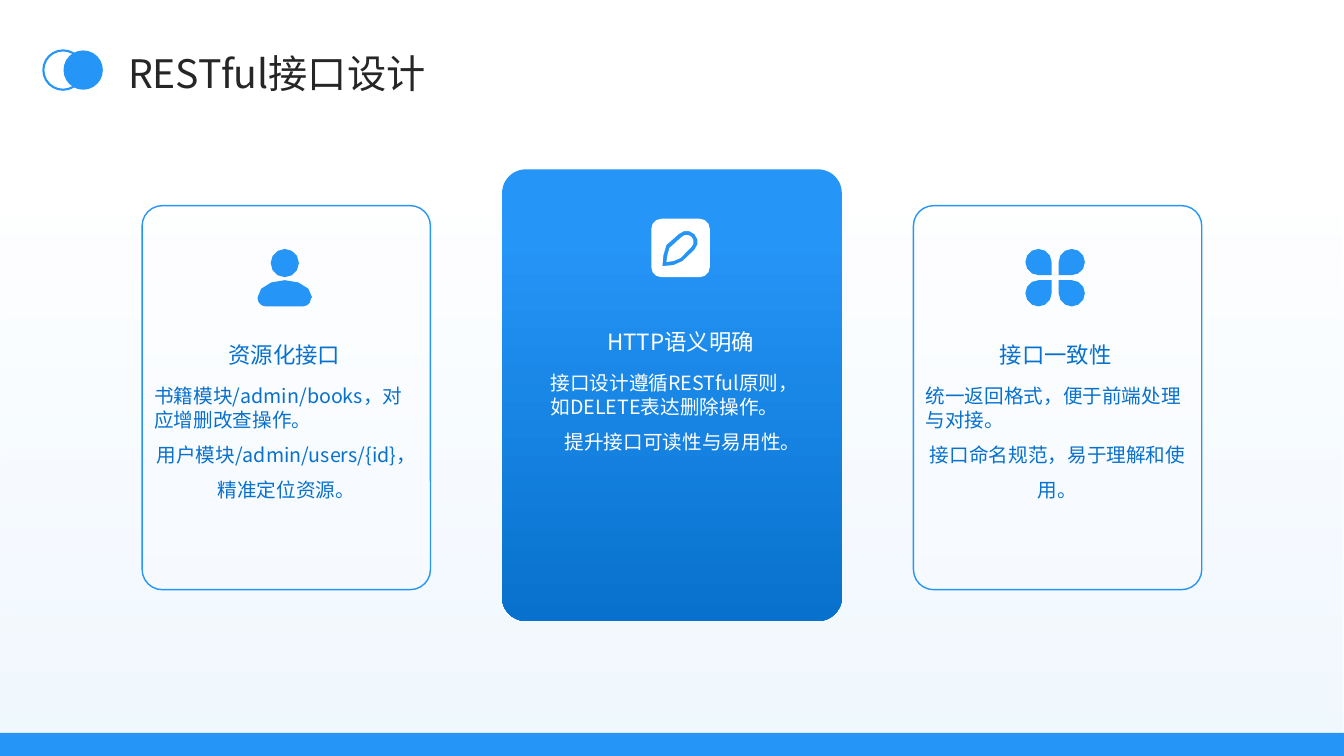
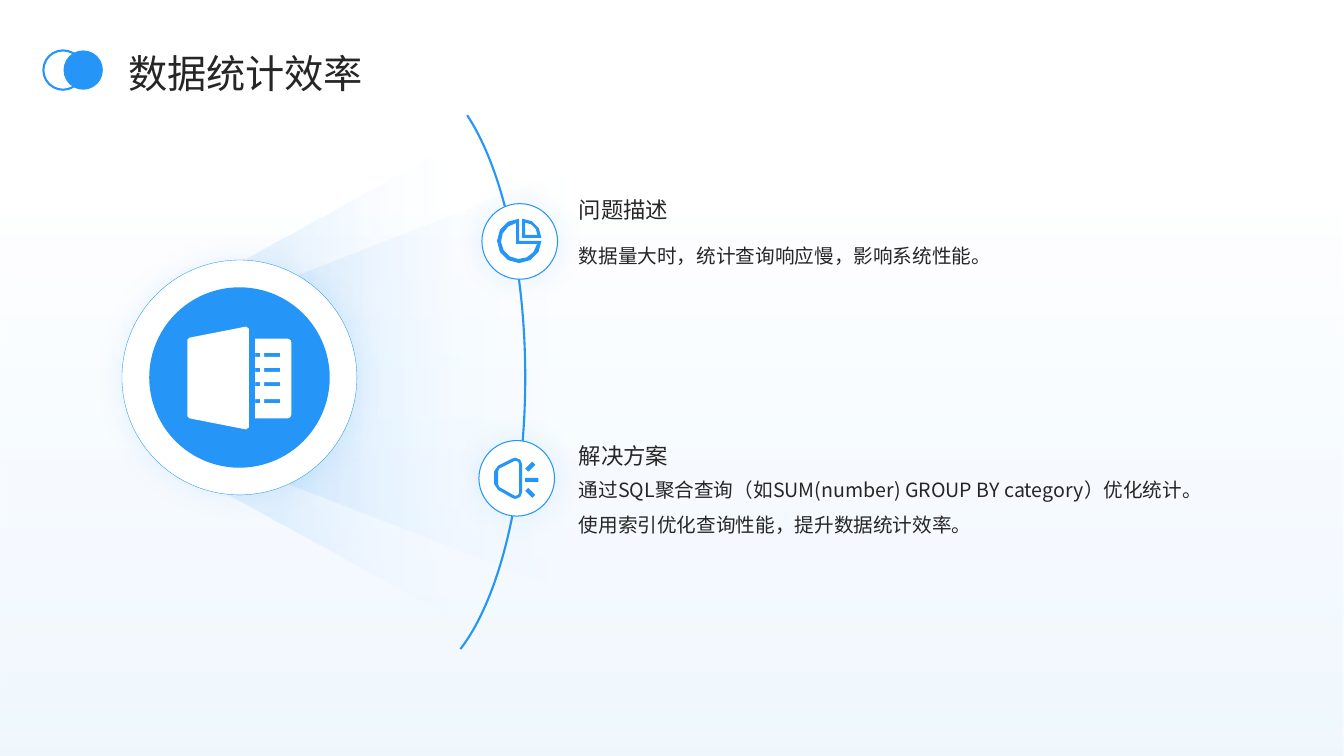
from math import ceil, cos, radians, sin

from lxml.etree import SubElement
from pptx import Presentation
from pptx.dml.color import RGBColor
from pptx.enum.shapes import MSO_SHAPE as Shape
from pptx.enum.text import MSO_ANCHOR as Anchor, MSO_AUTO_SIZE as AutoSize, PP_ALIGN as Align
from pptx.oxml.ns import qn
from pptx.util import Inches, Pt

BLUE = RGBColor(0x25, 0x95, 0xF7)
DEEP_BLUE = RGBColor(0x08, 0x71, 0xCD)
MIST = RGBColor(0xD3, 0xEA, 0xFD)
WHITE = RGBColor(0xFF, 0xFF, 0xFF)
INK = RGBColor(0x26, 0x26, 0x26)
FONT = "Noto Sans CJK SC"
WIDTH, HEIGHT = 13.33, 7.5
TITLE_ONLY, COMPARISON = 5, 4


def place(item, box):
    """Move an item to a box given in inches."""
    item.left, item.top, item.width, item.height = map(Inches, box)


def paint_gradient(shape, stops, angle, opacities=()):
    """Fill with two stops, each a position and a colour."""
    shape.fill.gradient()
    shape.fill.gradient_angle = angle
    for stop, (position, colour) in zip(shape.fill.gradient_stops, stops):
        stop.position = position
        stop.color.rgb = colour
    set_opacity(shape, *opacities)


def set_opacity(shape, *percents):
    """Give the colours of a shape, in order, their opacity."""
    colours = list(shape.element.spPr.iter(qn("a:srgbClr")))
    for colour, percent in zip(colours, percents):
        SubElement(colour, qn("a:alpha"), val=str(percent * 1000))


def add_glow(shape):
    """Put a soft blue shadow all around a shape."""
    effects = shape.element.spPr.find(qn("a:effectLst"))
    shadow = SubElement(effects, qn("a:outerShdw"), blurRad=str(Pt(20)), dist="0", dir="0",
                        algn="ctr", rotWithShape="0")
    colour = SubElement(shadow, qn("a:srgbClr"), val=str(BLUE))
    SubElement(colour, qn("a:alpha"), val="10000")


def add_figure(page, kind, box, fill=None, line=None, adjust=()):
    """Add a preset shape with a flat fill and a blue outline of a given width."""
    shape = page.shapes.add_shape(kind, *map(Inches, box))
    shape.shadow.inherit = False
    for index, value in enumerate(adjust):
        shape.adjustments[index] = value
    if fill is None:
        shape.fill.background()
    else:
        shape.fill.solid()
        shape.fill.fore_color.rgb = fill
    if line is None:
        shape.line.fill.background()
    else:
        shape.line.color.rgb = BLUE
        shape.line.width = Pt(line)
    return shape


def write_text(holder, box, lines, size, colour, anchor=Anchor.TOP):
    """Write lines, each a text, alignment and spacing, into a placeholder or text box."""
    place(holder, box)
    frame = holder.text_frame
    frame.word_wrap = True
    frame.auto_size = AutoSize.NONE
    frame.vertical_anchor = anchor
    frame.margin_left = frame.margin_right = frame.margin_top = frame.margin_bottom = 0
    for index, (text, align, spacing) in enumerate(lines):
        para = frame.add_paragraph() if index else frame.paragraphs[0]
        para.text = text
        properties = para._p.get_or_add_pPr()
        properties.set("marL", "0")
        properties.set("indent", "0")
        SubElement(properties, qn("a:buNone"))
        para.alignment = align
        para.line_spacing = spacing
        para.space_before = Pt(0)
        para.font.size = Pt(size)
        para.font.bold = False
        para.font.color.rgb = colour
        para.font.name = FONT
        SubElement(properties.find(qn("a:defRPr")), qn("a:ea"), typeface=FONT)


def add_text(page, *details):
    """Add a text box and write into it."""
    write_text(page.shapes.add_textbox(0, 0, 0, 0), *details)


def arc(x, y, radius, start, end, flatness=1):
    """Return points on an arc, clockwise in degrees; flatness scales its height."""
    steps = ceil((end - start) / 30)
    angles = [radians(start + (end - start) * step / steps) for step in range(steps + 1)]
    return [(x + radius * cos(angle), y + radius * flatness * sin(angle)) for angle in angles]


def rectangle(left, top, width, height):
    """Return the corners of a rectangle."""
    right, bottom = left + width, top + height
    return [(left, top), (right, top), (right, bottom), (left, bottom)]


def petal(x, y, radius, corner):
    """Return a disc with one square corner at the given angle."""
    reach = radius * 2 ** 0.5
    tip = (x + reach * cos(radians(corner)), y + reach * sin(radians(corner)))
    return arc(x, y, radius, corner + 45, corner + 315) + [tip]


def rounded_square(side, radius):
    """Return a square with rounded corners."""
    near, far = radius, side - radius
    corners = [(near, near, 180), (far, near, 270), (far, far, 0), (near, far, 90)]
    return [point for x, y, start in corners for point in arc(x, y, radius, start, start + 90)]


PERSON = [
    arc(0.27, 0.14, 0.14, 0, 360),
    arc(0.27, 0.48, 0.27, 180, 360, 0.63) + arc(0.45, 0.49, 0.08, 0, 90)
    + arc(0.08, 0.49, 0.08, 90, 180),
]
PEN = [
    rounded_square(0.58, 0.1),
    [(0.11, 0.47), (0.12, 0.36), (0.15, 0.26)] + arc(0.35, 0.23, 0.11, 225, 405)
    + [(0.31, 0.42), (0.22, 0.46)],
    [(0.15, 0.43), (0.16, 0.36), (0.18, 0.29)] + arc(0.35, 0.23, 0.07, 225, 405)
    + [(0.29, 0.39), (0.22, 0.42)],
]
PETALS = [petal(x, y, 0.13, corner) for x, y, corner in
          [(0.13, 0.13, 45), (0.46, 0.13, 135), (0.46, 0.44, 225), (0.13, 0.44, 315)]]
PIE = [
    arc(0.25, 0.19, 0.19, 270, 360) + [(0.25, 0.19)],
    arc(0.28, 0.16, 0.12, 270, 360) + [(0.28, 0.16)],
    arc(0.22, 0.22, 0.22, 0, 270) + [(0.22, 0.22)],
    arc(0.22, 0.22, 0.18, 10, 260) + [(0.19, 0.25)],
]
LAMP = [
    [(0, 0.14), (0.04, 0.08), (0.18, 0.01), (0.21, 0), (0.26, 0.02), (0.28, 0.07),
     (0.28, 0.34), (0.26, 0.39), (0.21, 0.41), (0.18, 0.4), (0.04, 0.32), (0, 0.26)],
    [(0.04, 0.14), (0.05, 0.11), (0.19, 0.04), (0.21, 0.03), (0.24, 0.04), (0.25, 0.07),
     (0.25, 0.34), (0.24, 0.37), (0.21, 0.38), (0.19, 0.37), (0.05, 0.29), (0.04, 0.26)],
    [(0.31, 0.11), (0.38, 0.04), (0.41, 0.07), (0.34, 0.14)],
    rectangle(0.31, 0.2, 0.13, 0.04),
    [(0.31, 0.33), (0.38, 0.4), (0.41, 0.37), (0.34, 0.3)],
]
CABINET = [
    [(0, 0.13), (0.02, 0.11), (0.58, 0), (0.61, 0.02), (0.61, 1), (0.58, 1.02),
     (0.02, 0.91), (0, 0.89)],
    [(0.67, 0.12)] + arc(0.99, 0.16, 0.04, 270, 360) + arc(0.99, 0.87, 0.04, 0, 90)
    + [(0.67, 0.91)],
] + [rectangle(left, top, width, 0.04) for top in (0.26, 0.41, 0.55, 0.72)
     for left, width in ((0.67, 0.05), (0.76, 0.16))]


def add_icon(page, outlines, left, top, colour):
    """Draw outlines as one shape; an outline inside another is a hole."""
    pen = None
    for outline in outlines:
        points = [(x * 1000, y * 1000) for x, y in outline]
        if pen is None:
            pen = page.shapes.build_freeform(*points[0], scale=914.4)
        else:
            pen.move_to(*points[0])
        pen.add_line_segments(points[1:], close=True)
    icon = pen.convert_to_shape(Inches(left), Inches(top))
    icon.shadow.inherit = False
    icon.fill.solid()
    icon.fill.fore_color.rgb = colour
    icon.line.fill.background()


def start_page(deck, layout, title):
    """Add a slide with its backdrop, its title and the two rings beside it."""
    page = deck.slides.add_slide(deck.slide_layouts[layout])
    backdrop = add_figure(page, Shape.RECTANGLE, (0, 0, WIDTH, HEIGHT))
    paint_gradient(backdrop, [(0, MIST), (0.74, WHITE)], 90, (35, 37))
    page.shapes.title.element.addprevious(backdrop.element)
    write_text(page.shapes.title, (1.27, 0.44, 10.92, 0.47), [(title, Align.LEFT, 1.2)],
               28, INK, Anchor.MIDDLE)
    add_figure(page, Shape.OVAL, (0.43, 0.5, 0.39, 0.39), line=1.5)
    add_figure(page, Shape.OVAL, (0.63, 0.5, 0.39, 0.39), BLUE)
    return page


def add_card(page, box, inset, icon, icon_width, icon_drop, heading_drop, lines, strong=False):
    """Add a rounded card with an icon, a heading and two paragraphs."""
    left, top = box[0] + inset, box[1]
    card = add_figure(page, Shape.ROUNDED_RECTANGLE, box, WHITE, None if strong else 1, [0.07])
    if strong:
        paint_gradient(card, [(0.15, BLUE), (1, DEEP_BLUE)], 270)
    else:
        set_opacity(card, 20)
    add_icon(page, icon, left + 1.29 - icon_width / 2, top + icon_drop,
             WHITE if strong else BLUE)
    colour = WHITE if strong else DEEP_BLUE
    heading, first, second = lines
    add_text(page, (left - 0.03, top + heading_drop, 2.64, 0.56),
             [(heading, Align.CENTER, 1.5)], 16, colour, Anchor.MIDDLE)
    add_text(page, (left, top + heading_drop + 0.64, 2.62, 1.85),
             [(first, Align.LEFT, 1.0), (second, Align.CENTER, 1.5)], 14, colour)


def build_interface_page(deck):
    """Build the slide with three cards."""
    page = start_page(deck, TITLE_ONLY, "RESTful接口设计")
    add_figure(page, Shape.RECTANGLE, (-0.02, 7.27, 13.37, 0.23), BLUE)
    add_card(page, (1.41, 2.04, 2.86, 3.81), 0.12, PERSON, 0.53, 0.43, 1.13, [
        "资源化接口", "书籍模块/admin/books，对应增删改查操作。",
        "用户模块/admin/users/{id}，精准定位资源。"])
    add_card(page, (4.98, 1.68, 3.37, 4.48), 0.48, PEN, 0.58, 0.49, 1.36, [
        "HTTP语义明确", "接口设计遵循RESTful原则，如DELETE表达删除操作。",
        "提升接口可读性与易用性。"], strong=True)
    add_card(page, (9.06, 2.04, 2.86, 3.81), 0.12, PETALS, 0.6, 0.43, 1.13, [
        "接口一致性", "统一返回格式，便于前端处理与对接。", "接口命名规范，易于理解和使用。"])


def add_hub(page, left, top):
    """Add the beams, the arc and the large disc with its icon."""
    beams = [((-0.18, 0.01, 4.88, 2.39), 0.55, 0.21), ((0.68, -0.65, 4.46, 3.7), 0.39, 0.13)]
    for (x, y, width, height), slant, start in beams:
        beam = add_figure(page, Shape.TRAPEZOID, (left + x, top + y, width, height), WHITE,
                          adjust=[slant])
        beam.rotation = 270
        paint_gradient(beam, [(start, BLUE), (1, WHITE)], 270, (10, 0))
    add_figure(page, Shape.ARC, (left + 1.67, top - 1.85, 2.33, 6.03), line=1.5,
               adjust=[169.65, 47.42])
    add_glow(add_figure(page, Shape.OVAL, (left, top, 2.33, 2.33), WHITE, 0.25))
    add_figure(page, Shape.OVAL, (left + 0.27, top + 0.27, 1.79, 1.79), BLUE)
    add_icon(page, CABINET, left + 0.65, top + 0.66, WHITE)


def add_topic(page, slot, disc, icon, icon_drop, text_top, body_height, heading, lines):
    """Add a disc with an icon, and fill the heading and body placeholders beside it."""
    left, top = disc
    add_glow(add_figure(page, Shape.OVAL, (left, top, 0.75, 0.75), WHITE, 0.75))
    add_icon(page, icon, left + 0.15, top + icon_drop, BLUE)
    write_text(page.placeholders[slot], (5.74, text_top, 6.15, 0.34),
               [(heading, Align.LEFT, 1.3)], 16, INK, Anchor.BOTTOM)
    write_text(page.placeholders[slot + 1], (5.74, text_top + 0.43, 6.15, body_height),
               lines, 14, INK)


def build_statistics_page(deck):
    """Build the slide with a hub and two topics."""
    page = start_page(deck, COMPARISON, "数据统计效率")
    add_hub(page, 1.21, 2.58)
    add_topic(page, 1, (4.78, 2.02), PIE, 0.15, 1.87, 1.56, "问题描述",
              [("数据量大时，统计查询响应慢，影响系统性能。", Align.LEFT, 1.5)])
    add_topic(page, 3, (4.75, 4.37), LAMP, 0.17, 4.31, 1.2, "解决方案", [
        ("通过SQL聚合查询（如SUM(number) GROUP BY category）优化统计。", Align.LEFT, 1.0),
        ("使用索引优化查询性能，提升数据统计效率。", Align.LEFT, 1.5)])


def main():
    """Build and save the deck."""
    deck = Presentation()
    deck.slide_width, deck.slide_height = Inches(WIDTH), Inches(HEIGHT)
    build_interface_page(deck)
    build_statistics_page(deck)
    deck.save("out.pptx")


if __name__ == "__main__":
    main()
